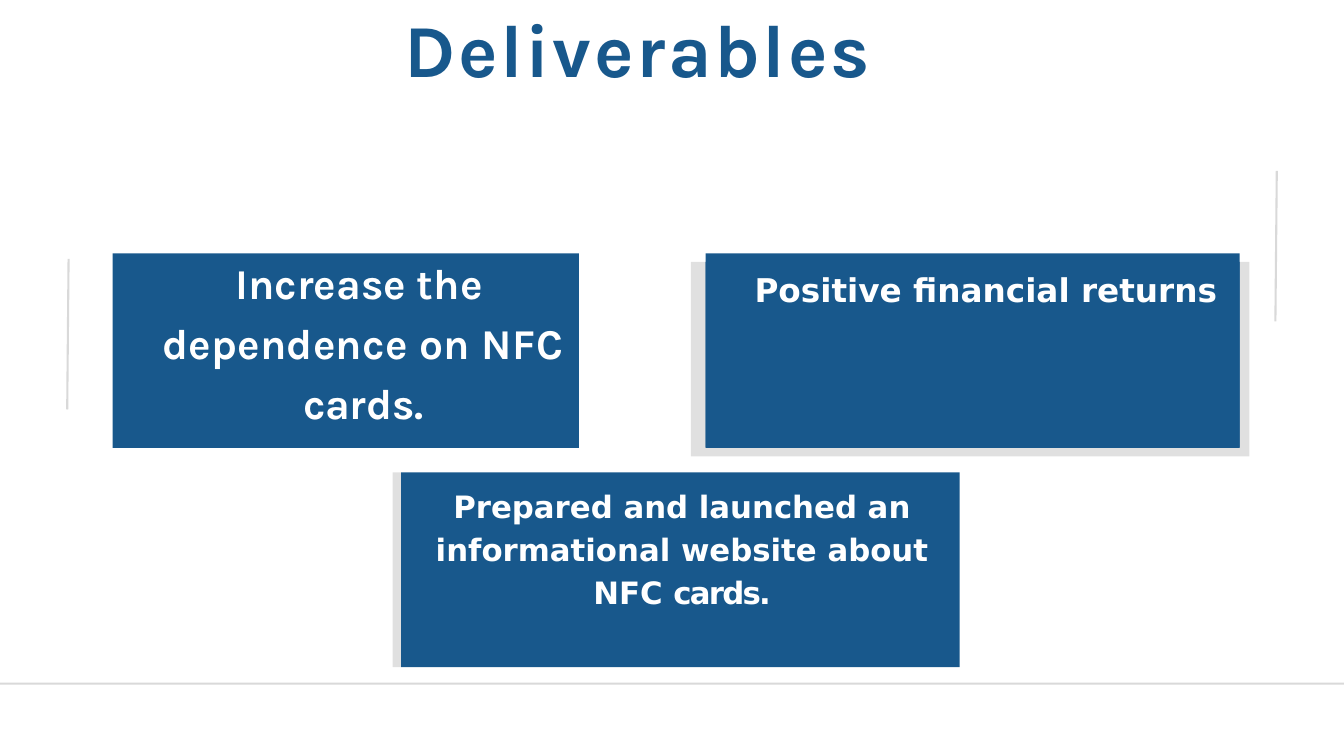
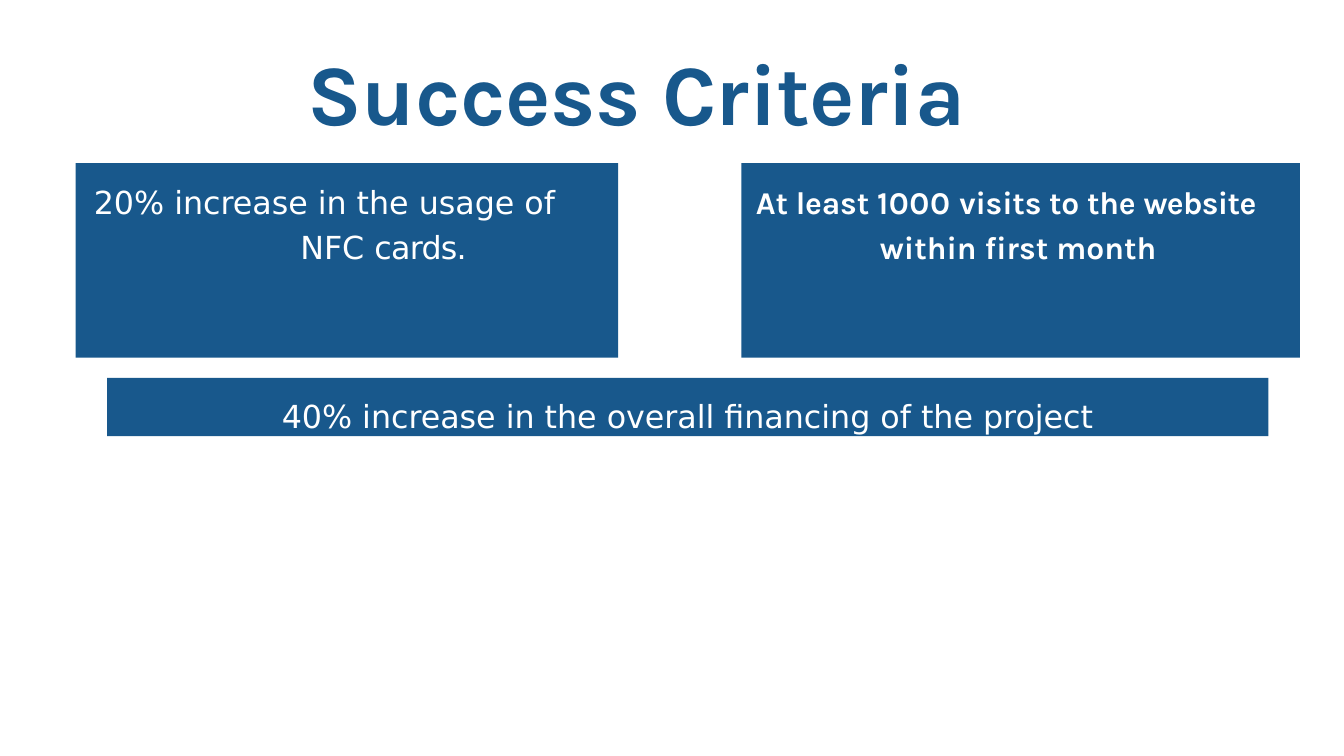
import pptx
import pptx.dml.color
import pptx.enum.shapes
import pptx.enum.text
import pptx.oxml
import pptx.oxml.ns
import pptx.util

PX = 9525
COLORS = {"blue": "18588C", "white": "FFFFFF", "grey": "D9D9D9", "black": "000000"}
SANS, KARLA = "DejaVu Sans", "Karla"
LEFT = pptx.enum.text.PP_ALIGN.LEFT
MID = pptx.enum.text.PP_ALIGN.CENTER


def tint(name):
    return pptx.dml.color.RGBColor.from_string(COLORS[name])


class Deck:
    def __init__(self):
        self.prs = pptx.Presentation()
        self.prs.slide_width = 1920 * PX
        self.prs.slide_height = 1080 * PX
        self.slide = None

    def page(self):
        self.slide = self.prs.slides.add_slide(self.prs.slide_layouts[6])

    def rect(self, box, color="blue", alpha=None):
        """Add a plain rectangle; alpha is its opacity in percent."""
        kind = pptx.enum.shapes.MSO_SHAPE.RECTANGLE
        shape = self.slide.shapes.add_shape(kind, *(n * PX for n in box))
        shape.shadow.inherit = False
        shape.fill.solid()
        shape.fill.fore_color.rgb = tint(color)
        shape.line.fill.background()
        if alpha:
            clr = shape.fill._xPr.find(".//" + pptx.oxml.ns.qn("a:srgbClr"))
            node = pptx.oxml.parse_xml(
                f'<a:alpha {pptx.oxml.ns.nsdecls("a")} val="{alpha * 1000}"/>')
            clr.append(node)
        return shape

    def shade(self, box):
        self.rect(box, "black", 12)

    def line(self, *ends):
        kind = pptx.enum.shapes.MSO_CONNECTOR.STRAIGHT
        line = self.slide.shapes.add_connector(kind, *(n * PX for n in ends))
        line.line.color.rgb = tint("grey")
        line.line.width = pptx.util.Pt(2.25)
        node = pptx.oxml.parse_xml(f'<a:effectLst {pptx.oxml.ns.nsdecls("a")}/>')
        line._element.spPr.append(node)

    def frame(self, shape, top):
        """Set up a text frame that has only a top inset."""
        frame = shape.text_frame
        frame.word_wrap = True
        frame.auto_size = pptx.enum.text.MSO_AUTO_SIZE.SHAPE_TO_FIT_TEXT
        frame.vertical_anchor = pptx.enum.text.MSO_ANCHOR.TOP
        frame.margin_left = frame.margin_right = frame.margin_bottom = 0
        frame.margin_top = top * PX
        return frame

    def para(self, para, runs, size, face=SANS, color="white", bold=True,
             align=LEFT, left=0, first=0, before=0, lead=None):
        """Fill a paragraph with (text, letter spacing in points) pairs."""
        para.alignment = align
        para.space_before = pptx.util.Pt(before)
        para.line_spacing = lead
        props = para._p.get_or_add_pPr()
        props.set("marL", str(left * PX))
        props.set("indent", str(first * PX))
        para.font.name = face
        para.font.size = pptx.util.Pt(size)
        para.font.bold = bold
        para.font.color.rgb = tint(color)
        for text, gap in runs:
            run = para.add_run()
            run.text = text
            if gap:
                run._r.get_or_add_rPr().set("spc", str(round(gap * 100)))

    def title(self, box, runs, size):
        shape = self.slide.shapes.add_textbox(*(n * PX for n in box))
        self.para(self.frame(shape, 1).paragraphs[0], runs, size, KARLA, "blue",
                  left=1, before=1)

    def card(self, box, top, runs, size, **style):
        """Add a blue box with one paragraph and return its text frame."""
        frame = self.frame(self.rect(box), top)
        self.para(frame.paragraphs[0], runs, size, **style)
        return frame


def goals(deck):
    deck.page()
    deck.rect((0, 975, 1920, 3), "grey")
    for left, top in ((1822, 244), (96, 370)):
        deck.line(left, top + 215, left + 2, top)
    deck.shade((561, 675, 12, 278))
    deck.shade((987, 374, 798, 278))
    deck.rect((1008, 362, 763, 278))
    deck.title((577, 3, 709, 131), [("Deliverables", 2.8)], 80)
    deck.card((1008, 374, 763, 265), 12, [("Positive financial returns", 0)], 35,
              left=70, before=8.8)
    deck.card((573, 675, 798, 278), 14,
              [("Prepared and launched an informational website about NFC ", 0),
               ("cards.", -1.9)],
              33, align=MID, left=5, before=10.9, lead=1.16)
    frame = deck.card((161, 362, 666, 278), 5, [("Increase the", 0)], 45.5,
                      face=KARLA, align=MID, left=38, before=3.4)
    deck.para(frame.add_paragraph(),
              [("dependence on ", 0.3), ("NFC ", 0.8), ("cards.", -0.2)], 45.5,
              KARLA, align=MID, left=50, lead=1.18)


def marks(deck):
    deck.page()
    deck.card((108, 233, 775, 278), 20,
              [("20% increase in the usage of NFC ", 0), ("cards.", -0.8)], 34,
              bold=False, left=321, first=-295, before=15.1, lead=1.16)
    deck.title((438, 56, 967, 150), [("Success ", -0.4), ("Criteria", -0.7)], 92)
    deck.card((1059, 233, 798, 278), 20,
              [("At least ", -0.2), ("1000 ", 0.6), ("visits to the ", -0.2),
               ("website ", -0.7), ("within first month", 0)],
              34, face=KARLA, left=198, first=-177, before=15.1, lead=1.16)
    deck.card((153, 540, 1659, 83), 27,
              [("40% increase in the overall financing of the project", 0)], 34,
              bold=False, align=MID, before=20.4)


def main():
    deck = Deck()
    goals(deck)
    marks(deck)
    deck.prs.save("out.pptx")


if __name__ == "__main__":
    main()
